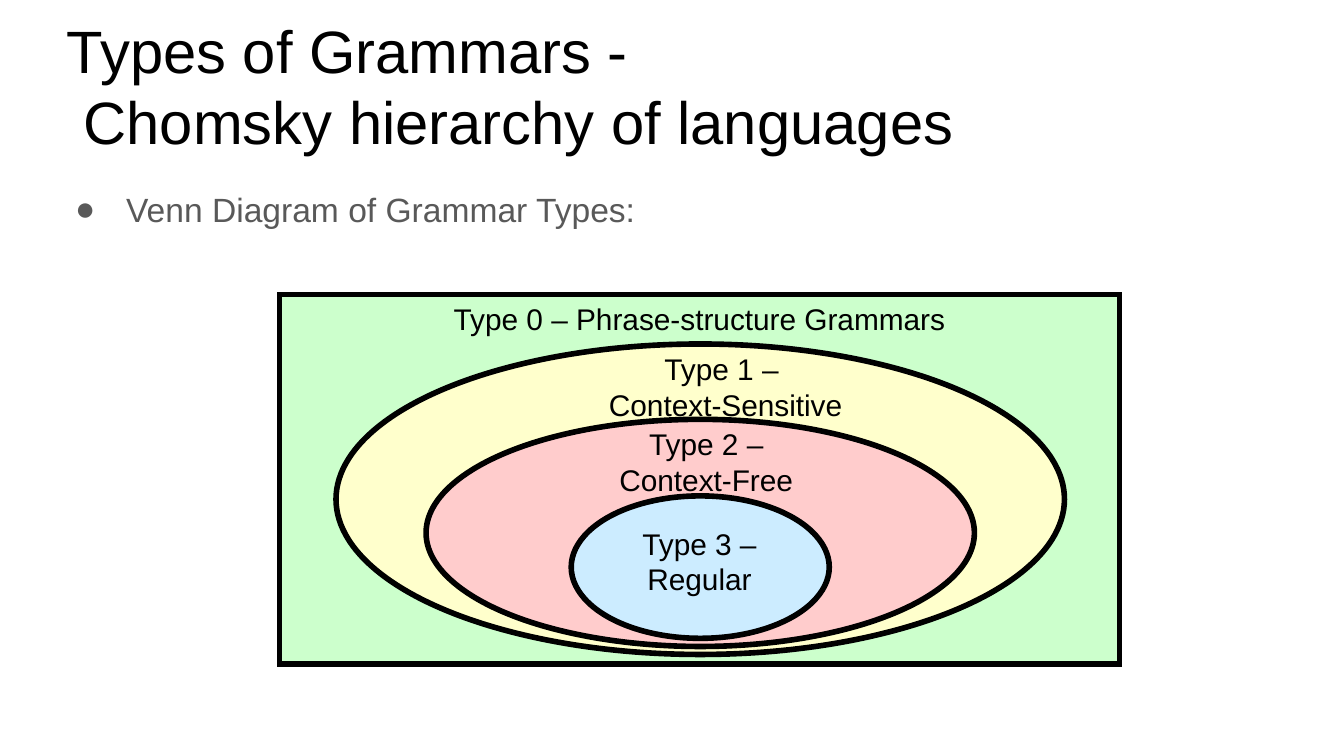
"""Build a slide with a Venn diagram of the Chomsky hierarchy."""
from lxml import etree
from pptx import Presentation
from pptx.dml.color import RGBColor
from pptx.enum.shapes import MSO_SHAPE as SHAPE
from pptx.enum.text import MSO_ANCHOR as ANCHOR, PP_ALIGN as ALIGN
from pptx.oxml.ns import qn
from pptx.util import Inches, Pt

COLORS = {
    "black": "000000",
    "gray": "595959",
    "green": "CCFFCC",
    "yellow": "FFFFCC",
    "pink": "FFCCCC",
    "blue": "CCECFF",
}


def write(sp, text, size, color, align=ALIGN.LEFT, inset=0.05):
    tf = sp.text_frame
    tf.word_wrap = True
    tf.vertical_anchor = ANCHOR.TOP
    tf.margin_left = tf.margin_right = Inches(0.1)
    tf.margin_top = tf.margin_bottom = Inches(inset)
    tf.text = text
    p = tf.paragraphs[0]
    p.alignment = align
    for r in p.runs:
        r.font.name = "Arial"
        r.font.size = Pt(size)
        r.font.color.rgb = RGBColor.from_string(COLORS[color])
    return p


def add_region(kind, box, fill):
    sp = s.shapes.add_shape(kind, *map(Inches, box))
    sp.shadow.inherit = False
    sp.fill.solid()
    sp.fill.fore_color.rgb = RGBColor.from_string(COLORS[fill])
    sp.line.color.rgb = RGBColor.from_string(COLORS["black"])
    sp.line.width = Pt(3)
    etree.SubElement(sp._element.spPr.find(qn("a:ln")), qn("a:miter"), lim="800000")
    return sp


prs = Presentation()
prs.slide_width = Inches(10)
prs.slide_height = Inches(10) * 9 // 16
s = prs.slides.add_slide(prs.slide_layouts[6])

title = s.shapes.add_textbox(Inches(0.4), Inches(0), Inches(9.32), Inches(0.63))
write(title, "Types of Grammars -\v Chomsky hierarchy of languages", 32, "black", inset=0.1)

body = s.shapes.add_textbox(Inches(0.34), Inches(1.26), Inches(9.32), Inches(3.74))
p = write(body, "Venn Diagram of Grammar Types:", 18, "gray", inset=0.1)
p.line_spacing = 1.15
pPr = p._p.get_or_add_pPr()
pPr.set("marL", str(Inches(0.5)))
pPr.set("indent", str(Inches(-0.38)))
bullet_color = etree.SubElement(pPr, qn("a:buClr"))
etree.SubElement(bullet_color, qn("a:srgbClr"), val=COLORS["gray"])
etree.SubElement(pPr, qn("a:buFont"), typeface="Arial")
etree.SubElement(pPr, qn("a:buChar"), char="●")

outer = add_region(SHAPE.RECTANGLE, (2.08, 2.19, 6.25, 2.75), "green")
write(outer, "Type 0 – Phrase-structure Grammars", 16, "black", ALIGN.CENTER)

rings = [
    ((2.5, 2.56, 5.42, 2.31), "yellow", "Type 1 – \vContext-Sensitive", (4.42, 2.56, 1.96)),
    ((3.17, 3.12, 4.08, 1.69), "pink", "Type 2 –\vContext-Free", (4.5, 3.12, 1.51)),
    ((4.25, 3.69, 1.92, 1.06), "blue", "Type 3 –\vRegular", (4.67, 3.86, 1.07)),
]
for box, fill, text, label_box in rings:
    add_region(SHAPE.OVAL, box, fill)
    label = s.shapes.add_textbox(*map(Inches, label_box), Inches(0.64))
    write(label, text, 16, "black", ALIGN.CENTER)

prs.save("out.pptx")
